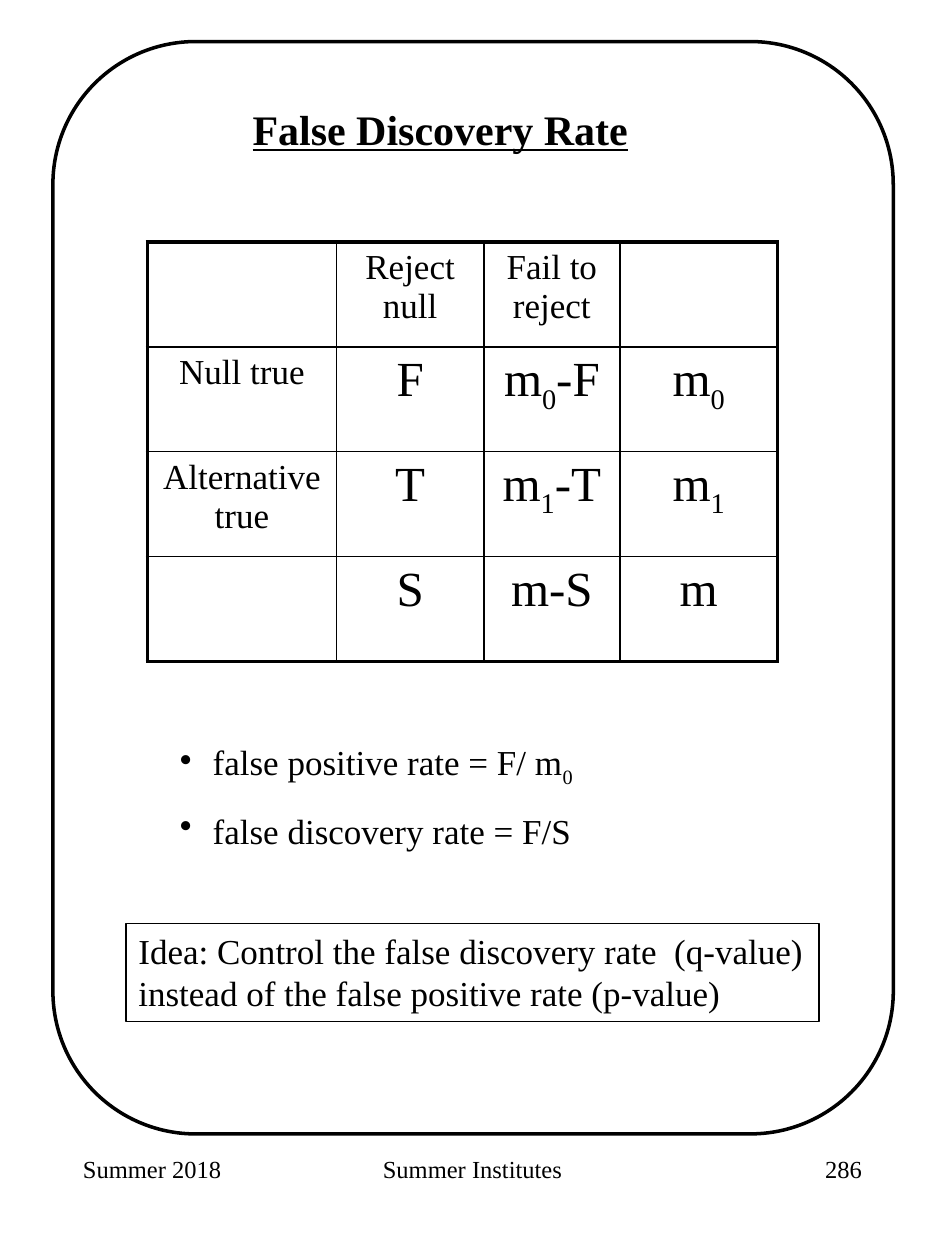
from lxml import etree
from pptx import Presentation
from pptx.dml.color import RGBColor
from pptx.enum.shapes import MSO_SHAPE
from pptx.enum.text import MSO_ANCHOR, PP_ALIGN
from pptx.oxml.ns import qn
from pptx.util import Inches, Pt

BLACK = "000000"
FONT = "Times New Roman"


def paint(color_format, value):
    color_format.rgb = RGBColor.from_string(value)


def write(paragraph, runs, size, align=PP_ALIGN.LEFT, bold=False, underline=False):
    paragraph.alignment = align
    for text, lowered in runs:
        run = paragraph.add_run()
        run.text = text
        font = run.font
        font.name, font.size = FONT, Pt(size)
        font.bold, font.underline = bold, underline
        paint(font.color, BLACK)
        if lowered:
            run._r.get_or_add_rPr().set("baseline", "-25000")


def add_text(slide, box, text, size, align=PP_ALIGN.LEFT, **style):
    frame = slide.shapes.add_textbox(*map(Inches, box)).text_frame
    frame.word_wrap = True
    write(frame.paragraphs[0], [(text, False)], size, align, **style)


def add_outline(slide, kind, box, width):
    shape = slide.shapes.add_shape(kind, *map(Inches, box))
    shape.shadow.inherit = False
    shape.fill.background()
    paint(shape.line.color, BLACK)
    shape.line.width = Pt(width)
    return shape


def add_border(cell, side, width):
    line = etree.SubElement(cell._tc.get_or_add_tcPr(), qn(f"a:ln{side}"), w=str(Pt(width)))
    fill = etree.SubElement(line, qn("a:solidFill"))
    etree.SubElement(fill, qn("a:srgbClr"), val=BLACK)


def add_outcome_table(slide, box):
    rows = [
        ["", "Reject null", "Fail to reject", ""],
        ["Null true", "F", "m_0-F", "m_0"],
        ["Alternative true", "T", "m_1-T", "m_1"],
        ["", "S", "m-S", "m"],
    ]
    last = len(rows) - 1
    table = slide.shapes.add_table(len(rows), len(rows[0]), *map(Inches, box)).table
    table.first_row = table.horz_banding = False
    for column, width in zip(table.columns, (1.5, 1.17, 1.08, 1.25)):
        column.width = Inches(width)
    for r, row in enumerate(rows):
        table.rows[r].height = Inches(box[3] / len(rows))
        for c, text in enumerate(row):
            cell = table.cell(r, c)
            edges = {"L": c == 0, "R": c == last, "T": r == 0, "B": r == last}
            for side, outer in edges.items():
                add_border(cell, side, 2.25 if outer else 1)
            cell.fill.background()
            base, _, rest = text.partition("_")
            runs = [(base, False), (rest[:1], True), (rest[1:], False)]
            write(cell.text_frame.paragraphs[0], [run for run in runs if run[0]],
                  20 if r == 0 or c == 0 else 28, PP_ALIGN.CENTER)


def add_rates(slide, box):
    frame = slide.shapes.add_textbox(*map(Inches, box)).text_frame
    frame.word_wrap = True
    rates = [
        [("false positive rate = F/ m", False), ("0", True)],
        [("false discovery rate = F/S", False)],
    ]
    for i, runs in enumerate(rates):
        paragraph = frame.add_paragraph() if i else frame.paragraphs[0]
        write(paragraph, runs, 20)
        if i:
            paragraph.space_before = Pt(12)
        props = paragraph._p.get_or_add_pPr()
        props.set("marL", str(Inches(0.26)))
        props.set("indent", str(Inches(-0.26)))
        etree.SubElement(props, qn("a:buChar"), char="•")


def add_idea(slide, box):
    frame = add_outline(slide, MSO_SHAPE.RECTANGLE, box, 0.75).text_frame
    frame.word_wrap = True
    frame.vertical_anchor = MSO_ANCHOR.TOP
    write(frame.paragraphs[0], [("Idea: Control the false discovery rate  (q-value) "
                                 "instead of the false positive rate (p-value)", False)], 20)


def add_footer(slide, box):
    left, top, width, height = box
    parts = [
        (0, 1.56, "Summer 2018", PP_ALIGN.LEFT),
        (2, 2.38, "Summer Institutes", PP_ALIGN.CENTER),
        (width - 1.56, 1.56, "286", PP_ALIGN.RIGHT),
    ]
    for offset, part_width, text, align in parts:
        add_text(slide, (left + offset, top, part_width, height), text, 14, align)


prs = Presentation()
prs.slide_width, prs.slide_height = Inches(7.5), Inches(10)
slide = prs.slides.add_slide(prs.slide_layouts[6])

page_frame = add_outline(slide, MSO_SHAPE.ROUNDED_RECTANGLE, (0.42, 0.33, 6.67, 8.67), 2)
page_frame.adjustments[0] = 0.17
add_text(slide, (1.58, 0.77, 3.83, 0.5), "False Discovery Rate", 24, PP_ALIGN.CENTER,
         bold=True, underline=True)
add_outcome_table(slide, (1.17, 1.92, 5, 3.33))
add_rates(slide, (1.33, 5.83, 4.67, 0.93))
add_idea(slide, (1, 7.33, 5.5, 0.78))
add_footer(slide, (0.56, 9.11, 6.38, 0.67))

prs.save("out.pptx")
